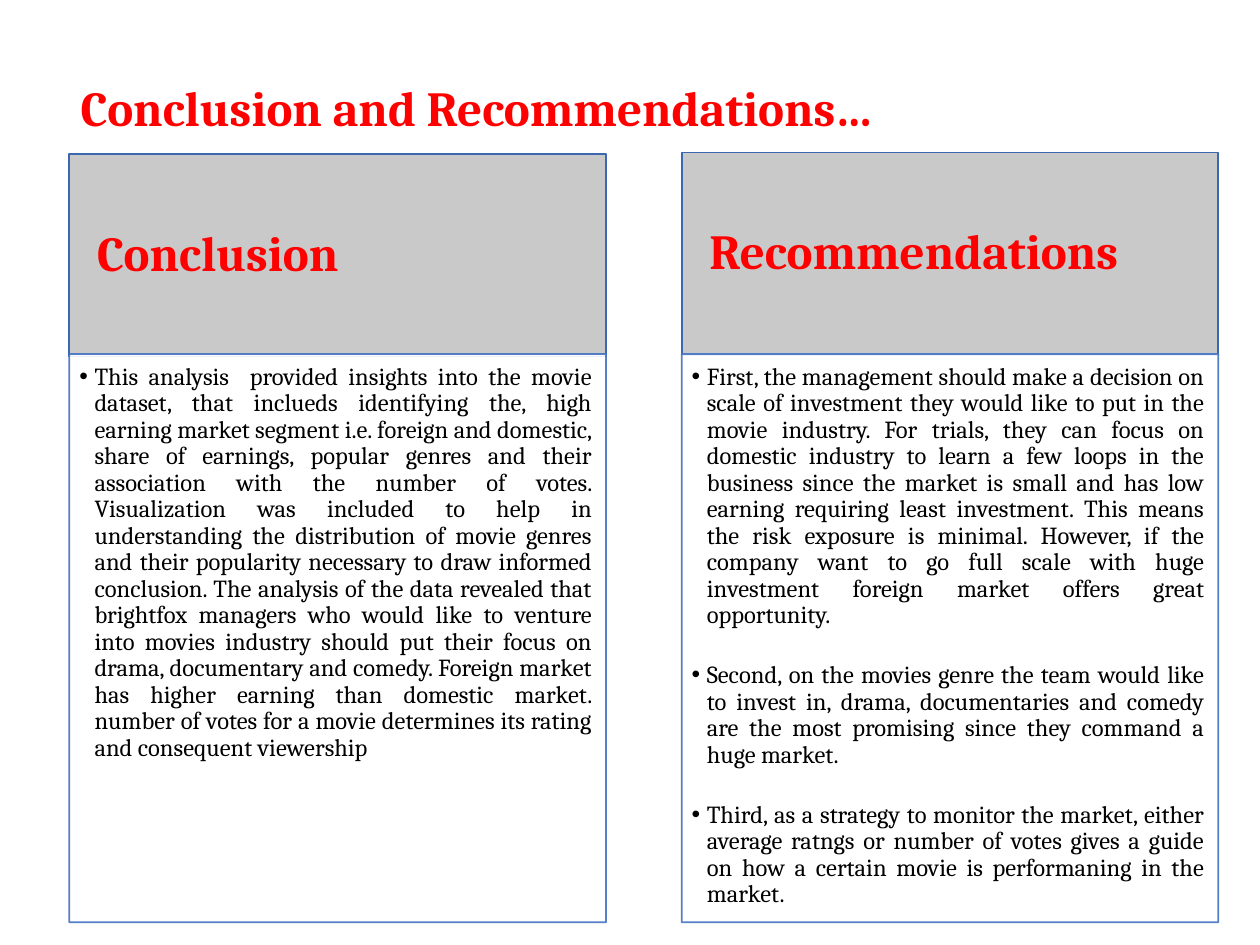
import pptx
import pptx.dml.color
import pptx.enum.text
import pptx.util
from lxml import etree
from pptx.dml.color import RGBColor
from pptx.enum.text import MSO_ANCHOR, PP_ALIGN
from pptx.oxml.ns import qn
from pptx.util import Inches

RED = RGBColor(0xFF, 0x00, 0x00)
BLACK = RGBColor(0x00, 0x00, 0x00)
WHITE = RGBColor(0xFF, 0xFF, 0xFF)
GREY = RGBColor(0xC9, 0xC9, 0xC9)
HEADING_EDGE = RGBColor(0x3E, 0x67, 0xB2)
BODY_EDGE = RGBColor(0x44, 0x72, 0xC4)

TITLE = "Conclusion and Recommendations…"
COLUMNS = [
    {
        "heading": "Conclusion",
        "heading_top": 1.22,
        "points": [
            "This analysis  provided insights into the movie dataset, that inclueds "
            "identifying the, high earning market segment i.e. foreign and domestic, "
            "share of earnings, popular genres and their association with the number "
            "of votes. Visualization was included to help in understanding the "
            "distribution of movie genres and their popularity necessary to draw "
            "informed conclusion. The analysis of the data revealed that brightfox "
            "managers who would like to venture into movies industry should put their "
            "focus on drama, documentary and comedy. Foreign market has higher earning "
            "than domestic market. number of votes for a movie determines its rating "
            "and consequent viewership",
        ],
    },
    {
        "heading": "Recommendations",
        "heading_top": 1.21,
        "points": [
            "First, the management should make a decision on scale of investment they "
            "would like to put in the movie industry. For trials, they can focus on "
            "domestic industry to learn a few loops in the business since the market "
            "is small and has low earning requiring least investment. This means the "
            "risk exposure is minimal. However, if the company want to go full scale "
            "with huge investment foreign market offers great opportunity.",
            "Second, on the movies genre the team would like to invest in, drama, "
            "documentaries and comedy are the most promising since they command a "
            "huge market.",
            "Third, as a strategy to monitor the market, either average ratngs or "
            "number of votes gives a guide on how a certain movie is performaning in "
            "the market.",
        ],
    },
]

COLUMN_LEFT, COLUMN_STEP, COLUMN_WIDTH = 0.55, 4.86, 4.26
HEADING_HEIGHT = 1.61
BODY_TOP, BODY_HEIGHT = 2.81, 4.51
POINT_GAP = 19.2


def place(holder, left, top, width, height):
    holder.left, holder.top = Inches(left), Inches(top)
    holder.width, holder.height = Inches(width), Inches(height)


def write(holder, paragraphs, size, color, bold=False, align=PP_ALIGN.JUSTIFY,
          anchor=MSO_ANCHOR.MIDDLE, insets=(0.1, 0.05, 0.1, 0.05), gap=0, hang=None):
    """Fill a placeholder; gap is points between paragraphs, hang the bullet indent."""
    frame = holder.text_frame
    frame.word_wrap = True
    frame.auto_size = pptx.enum.text.MSO_AUTO_SIZE.NONE
    frame.vertical_anchor = anchor
    (frame.margin_left, frame.margin_top,
     frame.margin_right, frame.margin_bottom) = map(Inches, insets)
    for index, words in enumerate(paragraphs):
        paragraph = frame.add_paragraph() if index else frame.paragraphs[0]
        paragraph.alignment = align
        paragraph.line_spacing = 0.9
        paragraph.space_before = pptx.util.Pt(gap if index else 0)
        paragraph.space_after = pptx.util.Pt(0)
        if hang:
            properties = paragraph._p.get_or_add_pPr()
            properties.set("marL", str(Inches(hang)))
            properties.set("indent", str(-Inches(hang)))
        run = paragraph.add_run()
        run.text = words
        run.font.name = "Cambria"
        run.font.size = pptx.util.Pt(size)
        run.font.bold = bold
        run.font.color.rgb = color


def paint(holder, fill, edge, opacity=100):
    holder.fill.solid()
    holder.fill.fore_color.rgb = fill
    holder.line.color.rgb = edge
    holder.line.width = pptx.util.Pt(1)
    if opacity < 100:
        for color in holder._element.spPr.iter(qn("a:srgbClr")):
            etree.SubElement(color, qn("a:alpha"), val=str(opacity * 1000))


def main():
    deck = pptx.Presentation()
    deck.slide_width, deck.slide_height = Inches(10), Inches(7.5)
    comparison = deck.slide_layouts.get_by_name("Comparison")
    slide = deck.slides.add_slide(comparison)
    title, *column_holders = slide.placeholders

    place(title, 0.54, 0.55, 8.84, 0.65)
    write(title, [TITLE], 28, RED, bold=True, align=PP_ALIGN.LEFT)

    for number, column in enumerate(COLUMNS):
        heading, body = column_holders[2 * number:2 * number + 2]
        left = COLUMN_LEFT + number * COLUMN_STEP

        place(heading, left, column["heading_top"], COLUMN_WIDTH, HEADING_HEIGHT)
        paint(heading, GREY, HEADING_EDGE)
        write(heading, [column["heading"]], 28, RED, bold=True,
              insets=(0.22, 0.12, 0.22, 0.12))

        place(body, left, BODY_TOP, COLUMN_WIDTH, BODY_HEIGHT)
        paint(body, WHITE, BODY_EDGE, opacity=90)
        write(body, column["points"], 14, BLACK, anchor=MSO_ANCHOR.TOP,
              insets=(0.08, 0.08, 0.11, 0.12), gap=POINT_GAP, hang=0.12)

    deck.save("out.pptx")


if __name__ == "__main__":
    main()
